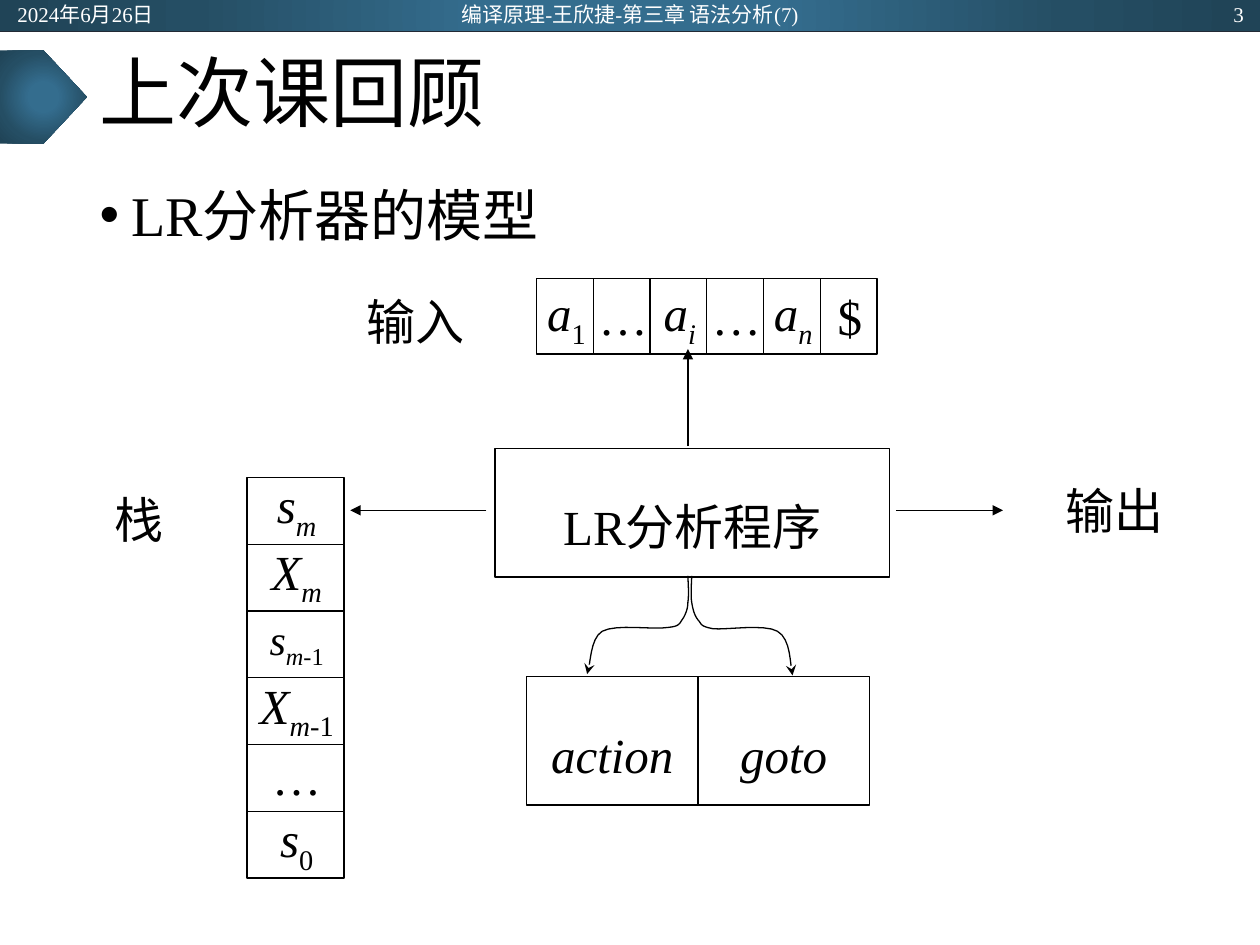
import pptx
import pptx.dml.color
import pptx.enum.shapes
import pptx.enum.text
import pptx.oxml
import pptx.oxml.ns
import pptx.util
from pptx.util import Inches

COLOURS = {"ink": "000000", "light": "FFFFFF", "rule": "222A35"}
BAND_STOPS = [(0, "346D8E"), (23, "346D8E"), (69, "254E64"), (97, "204457")]
FONT = "Times New Roman"
ALIGN = pptx.enum.text.PP_ALIGN
SHAPE = pptx.enum.shapes.MSO_SHAPE
qn = pptx.oxml.ns.qn


def write(shape, runs, size=28, align=ALIGN.CENTER, colour="ink",
          insets=(0.1, 0.05, 0.1, 0.05), spacing=1.0, anchor="MIDDLE"):
    """Fill a shape with one paragraph; runs are (text, style), style using i and _ (subscript)."""
    frame = shape.text_frame
    frame.word_wrap = True
    frame.auto_size = pptx.enum.text.MSO_AUTO_SIZE.NONE
    frame.vertical_anchor = pptx.enum.text.MSO_ANCHOR[anchor]
    (frame.margin_left, frame.margin_top,
     frame.margin_right, frame.margin_bottom) = map(Inches, insets)
    paragraph = frame.paragraphs[0]
    paragraph.alignment = align
    paragraph.line_spacing = spacing
    for text, style in runs:
        run = paragraph.add_run()
        run.text = text
        run.font.name = FONT
        run.font.size = pptx.util.Pt(size)
        run.font.italic = "i" in style
        run.font.color.rgb = pptx.dml.color.RGBColor.from_string(COLOURS[colour])
        if "_" in style:
            run._r.get_or_add_rPr().set("baseline", "-25000")
    return paragraph


def outline(shape, colour="ink", width=0.75, head=None):
    """Give a shape or connector a plain line, an optional end arrowhead and no shadow."""
    shape.line.color.rgb = pptx.dml.color.RGBColor.from_string(COLOURS[colour])
    shape.line.width = pptx.util.Pt(width)
    properties = shape._element.spPr
    if head:
        line = properties.find(qn("a:ln"))
        line.append(line.makeelement(qn("a:tailEnd"), {"type": head}))
    properties.append(properties.makeelement(qn("a:effectLst"), {}))


presentation = pptx.Presentation()
presentation.slide_width = Inches(10)
presentation.slide_height = Inches(7.5)
slide = presentation.slides.add_slide(presentation.slide_layouts[1])
shapes = slide.shapes
title, body = slide.placeholders

# Header band and title marker, both with a radial gradient
stops = "".join(f'<a:gs pos="{position * 1000}"><a:srgbClr val="{colour}"/></a:gs>'
                for position, colour in BAND_STOPS)
gradient_xml = (f'<a:gradFill {pptx.oxml.ns.nsdecls("a")}><a:gsLst>{stops}</a:gsLst>'
                '<a:path path="circle"><a:fillToRect l="50000" t="50000" r="50000" b="50000"/>'
                '</a:path></a:gradFill>')
for preset, box in [(SHAPE.RECTANGLE, (0, 0, 10, 0.25)),
                    (SHAPE.PENTAGON, (0, 0.4, 0.69, 0.74))]:
    shape = shapes.add_shape(preset, *map(Inches, box))
    shape.shadow.inherit = False
    shape.line.fill.background()
    shape.fill.background()
    properties = shape._element.spPr
    properties.replace(properties.find(qn("a:noFill")), pptx.oxml.parse_xml(gradient_xml))

header_rule = shapes.add_connector(pptx.enum.shapes.MSO_CONNECTOR.STRAIGHT,
                                   0, Inches(0.25), Inches(10), Inches(0.25))
outline(header_rule, "rule", 0.5)

for text, left, width, align in [
        ("2024年6月26日", 0.04, 2.25, ALIGN.LEFT),
        ("编译原理-王欣捷-第三章 语法分析(7)", 3.31, 3.38, ALIGN.CENTER),
        ("3", 7.72, 2.25, ALIGN.RIGHT)]:
    box = shapes.add_textbox(Inches(left), Inches(0.01), Inches(width), Inches(0.2))
    write(box, [(text, "")], 12, align, "light")

# Title and list
title.left, title.top, title.width, title.height = map(Inches, (0.69, 0.25, 8.62, 1.04))
write(title, [("上次课回顾", "")], 44, ALIGN.LEFT, spacing=0.9)
body.left, body.top, body.width, body.height = map(Inches, (0.69, 1.38, 8.62, 5.38))
item = write(body, [("LR分析器的模型", "")], 32, ALIGN.LEFT, anchor="TOP")
item.space_before = pptx.util.Pt(10)
item_properties = item._p.get_or_add_pPr()
item_properties.set("marL", str(Inches(0.25)))
item_properties.set("indent", str(Inches(-0.25)))

# Labels
for text, left, top in [("输入", 2.73, 2.21), ("输出", 8.28, 3.71), ("栈", 0.54, 3.78)]:
    label = shapes.add_textbox(Inches(left), Inches(top), Inches(1.13), Inches(0.67))
    write(label, [(text, "")])

# Boxes: program, tables, stack and input cells
large = {"insets": (0.1, 0.11, 0.1, 0.05), "spacing": 1.3}
boxes = [((3.93, 3.56, 3.13, 1.02), [("LR分析程序", "")], large),
         ((4.18, 5.37, 1.36, 1.02), [("action", "i")], large),
         ((5.54, 5.37, 1.36, 1.02), [("goto", "i")], large)]

stack = [[("s", "i"), ("m", "i_")],
         [("X", "i"), ("m", "i_")],
         [("s", "i"), ("m", "i_"), ("-1", "_")],
         [("X", "i"), ("m", "i_"), ("-1", "_")],
         [("…", "")],
         [("s", "i"), ("0", "_")]]
for row, runs in enumerate(stack):
    style = {"insets": (0.04, 0, 0.02, 0.04), "size": 24 if row == 2 else 28}
    boxes.append(((1.96, 3.79 + 0.53 * row, 0.77, 0.53), runs, style))

tape = [[("a", "i"), ("1", "_")], [("…", "")], [("a", "i"), ("i", "i_")],
        [("…", "")], [("a", "i"), ("n", "i_")], [("$", "")]]
for column, runs in enumerate(tape):
    boxes.append(((4.26 + 0.45 * column, 2.21, 0.45, 0.6), runs,
                  {"insets": (0.04, 0.01, 0.02, 0.01)}))

for position, runs, style in boxes:
    box = shapes.add_shape(SHAPE.RECTANGLE, *map(Inches, position))
    box.fill.background()
    outline(box)
    write(box, runs, **style)

# Straight arrows from the program
for ends in [(5.46, 3.54, 5.46, 2.77), (7.11, 4.05, 7.96, 4.05), (3.86, 4.05, 2.78, 4.05)]:
    arrow = shapes.add_connector(pptx.enum.shapes.MSO_CONNECTOR.STRAIGHT, *map(Inches, ends))
    outline(arrow, head="triangle")

# Curved arrows to the tables: each a chain of cubic curves sharing end points
left_curve = [(5.46, 4.57), (5.46, 4.6), (5.47, 4.72), (5.46, 4.78), (5.46, 4.83),
              (5.44, 4.88), (5.42, 4.91), (5.39, 4.95), (5.4, 4.97), (5.3, 4.98),
              (5.19, 5), (4.89, 4.95), (4.78, 5.01), (4.68, 5.07), (4.69, 5.28), (4.66, 5.35)]
right_curve = [(5.49, 4.57), (5.49, 4.61), (5.48, 4.72), (5.49, 4.78), (5.5, 4.84),
               (5.51, 4.88), (5.54, 4.92), (5.57, 4.95), (5.55, 4.97), (5.66, 4.99),
               (5.76, 5), (6.07, 4.95), (6.17, 5.01), (6.28, 5.07), (6.27, 5.28), (6.29, 5.36)]
STEPS = 8
for curve in (left_curve, right_curve):
    points = []
    for first in range(0, len(curve) - 1, 3):
        for step in range(1, STEPS + 1):
            t = step / STEPS
            weights = ((1 - t) ** 3, 3 * t * (1 - t) ** 2, 3 * t ** 2 * (1 - t), t ** 3)
            controls = curve[first:first + 4]
            points.append(tuple(Inches(sum(w * point[axis] for w, point in zip(weights, controls)))
                                for axis in (0, 1)))
    builder = shapes.build_freeform(*map(Inches, curve[0]))
    builder.add_line_segments(points, close=False)
    branch = builder.convert_to_shape()
    branch.fill.background()
    outline(branch, head="stealth")

presentation.save("out.pptx")
